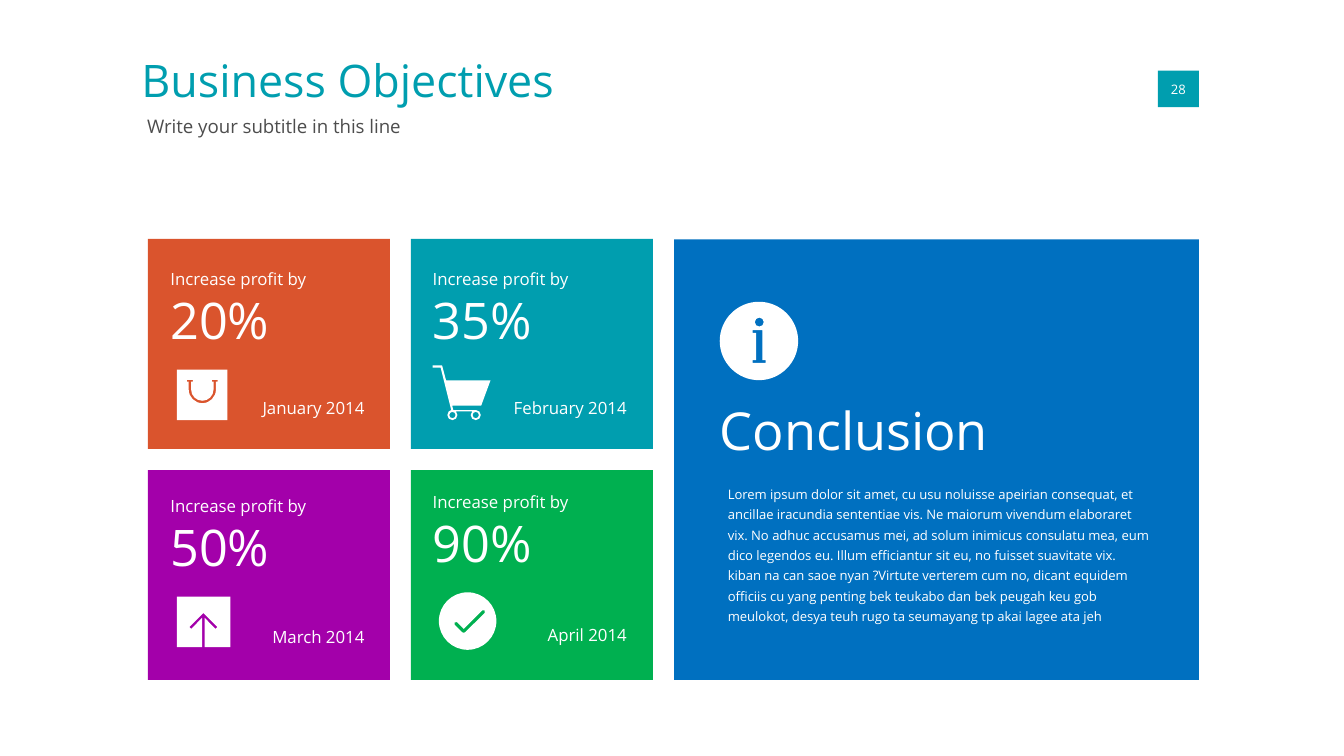
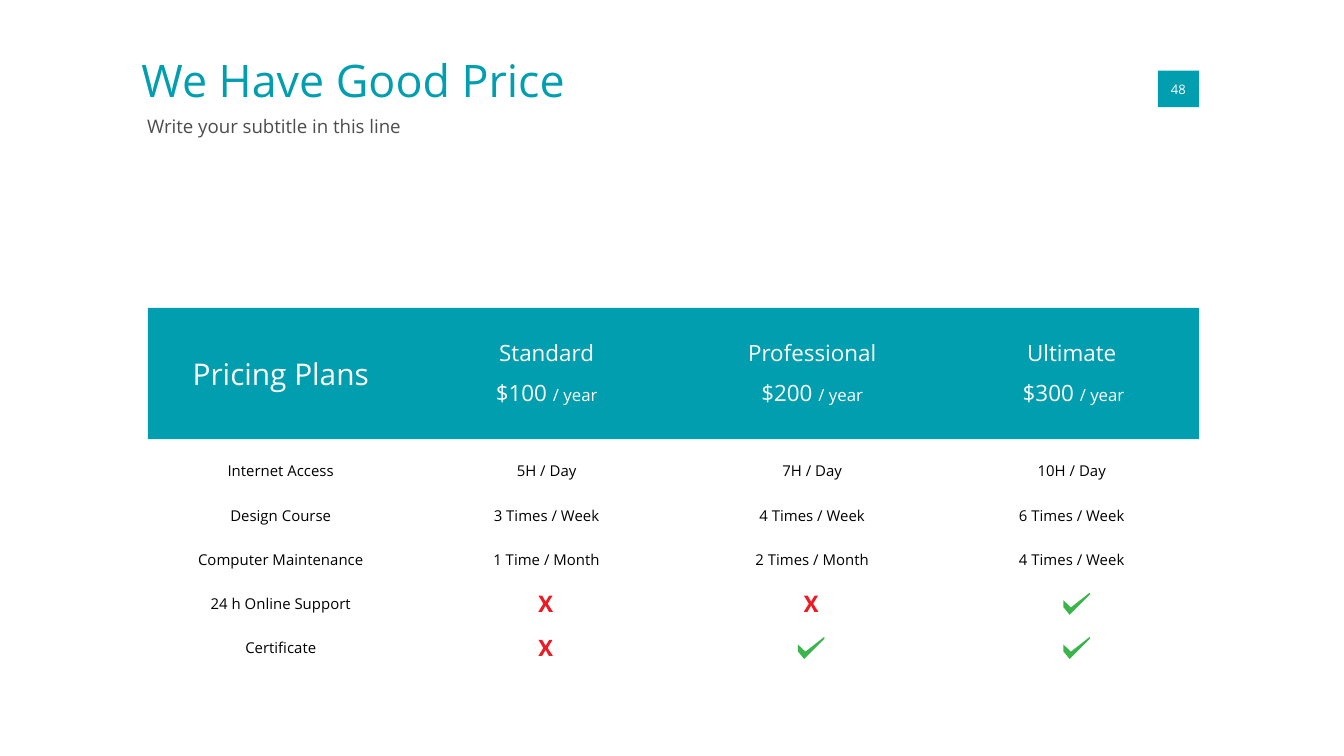
import itertools

import lxml.etree
import pptx
import pptx.dml.color
import pptx.enum.shapes
import pptx.enum.text
import pptx.oxml.ns
import pptx.util

Pt = pptx.util.Pt
qn = pptx.oxml.ns.qn
rgb = pptx.dml.color.RGBColor.from_string
LEFT, CENTER, RIGHT = (pptx.enum.text.PP_ALIGN.LEFT, pptx.enum.text.PP_ALIGN.CENTER,
                       pptx.enum.text.PP_ALIGN.RIGHT)
FONT = "Open Sans"
TEAL, WHITE, GREY, BLACK = "009EAF", "FFFFFF", "4D4D4D", "000000"
ORANGE, PURPLE, GREEN, BLUE = "DA542D", "A300AA", "00B050", "0070C0"
TICK_GREEN, CROSS_RED = "39B54A", "ED1C24"


def add_filled(slide, outline, color):
    """Fill a rectangle (left, top, width, height) or a list of contours.

    A contour step of two numbers is a corner; one of six is a Bézier curve.
    """
    if isinstance(outline, tuple):
        shape = slide.shapes.add_shape(pptx.enum.shapes.MSO_SHAPE.RECTANGLE,
                                       *[Pt(length) for length in outline])
    else:
        x, y = outline[0][0][-2:]
        builder = slide.shapes.build_freeform(Pt(x), Pt(y))
        for i, contour in enumerate(outline):
            ends = [(Pt(step[-2]), Pt(step[-1])) for step in contour]
            if i:
                builder.move_to(*ends[0])
            builder.add_line_segments(ends[1:], close=True)
        shape = builder.convert_to_shape()
        steps = [step for contour in outline for step in contour[1:]]
        for segment, step in zip(list(shape._element.iter(qn("a:lnTo"))), steps):
            if len(step) == 6:
                segment.tag = qn("a:cubicBezTo")
                for i in (0, 1):
                    control = lxml.etree.Element(qn("a:pt"))
                    control.set("x", str(Pt(step[2 * i]) - shape.left))
                    control.set("y", str(Pt(step[2 * i + 1]) - shape.top))
                    segment.insert(i, control)
    shape.fill.solid()
    shape.fill.fore_color.rgb = rgb(color)
    shape.line.fill.background()
    shape.shadow.inherit = False


def add_text(slide, box, lines, color, align=LEFT, middle=False, inset=0, wrap=True):
    """Write (text, size) lines, one paragraph each, and return the text frame."""
    frame = slide.shapes.add_textbox(*[Pt(length) for length in box]).text_frame
    frame.word_wrap = wrap
    frame.margin_left = frame.margin_right = Pt(inset)
    frame.margin_top = frame.margin_bottom = Pt(inset)
    if middle:
        frame.vertical_anchor = pptx.enum.text.MSO_ANCHOR.MIDDLE
    for i, (text, size) in enumerate(lines):
        paragraph = frame.add_paragraph() if i else frame.paragraphs[0]
        paragraph.alignment = align
        paragraph.font.name = FONT
        paragraph.font.size = Pt(size)
        paragraph.font.color.rgb = rgb(color)
        paragraph.add_run().text = text
    return frame


prs = pptx.Presentation()
prs.slide_width, prs.slide_height = Pt(720), Pt(405)

# Heading and page number of both slides
slides = []
for title, number in [("Business Objectives", "28"), ("We Have Good Price", "48")]:
    slide = prs.slides.add_slide(prs.slide_layouts[6])
    add_filled(slide, (620.3, 37.8, 22, 19.6), TEAL)
    add_text(slide, (627.3, 43.5, 8, 8.6), [(number, 7)], WHITE, CENTER,
             middle=True, wrap=False)
    add_text(slide, (75.8, 28.1, 342.7, 35.3), [(title, 24)], TEAL)
    add_text(slide, (78.8, 61.6, 497.5, 16.6),
             [("Write your subtitle in this line", 10)], GREY)
    slides.append(slide)
objectives, pricing = slides

# Rings of four curves from the right end; a negative radius flips the direction
k = 0.55
unit_circle = [(1, 0), (1, k, k, 1, 0, 1), (-k, 1, -1, k, -1, 0),
               (-1, -k, -k, -1, 0, -1), (k, -1, 1, -k, 1, 0)]
rings = {}
for name, center, radii in [
    ("strap outside", (108.4, 208.7), (7.3, 7.3)),
    ("strap inside", (108.4, 208.7), (-6, 6)),
    ("left tyre", (242.4, 222.4), (2.7, -2.7)),
    ("left hub", (242.4, 222.4), (1.7, 1.7)),
    ("right tyre", (254.9, 222.4), (2.7, -2.7)),
    ("right hub", (254.9, 222.4), (1.7, 1.7)),
    ("check disc", (250.5, 332.7), (15.4, 15.4)),
    ("info disc", (406.6, 182.7), (21, 21)),
    ("info dot", (406.8, 172.6), (2.4, 2.4)),
]:
    rings[name] = [tuple(c + r * v for c, r, v in
                         zip(itertools.cycle(center), itertools.cycle(radii), step))
                   for step in unit_circle]

bag = [
    [(94.8, 198), (121.8, 198), (121.8, 225), (94.8, 225)],
    [(116.6, 203.5), (116.6, 204.5), (115.7, 204.5), *rings["strap outside"][:3],
     (101.1, 204.5), (100.1, 204.5), (100.1, 203.5), (103.3, 203.5), (103.3, 204.5),
     (102.4, 204.5), *rings["strap inside"][:3],
     (114.4, 204.5), (113.5, 204.5), (113.5, 203.5)],
]
left_tyre, right_tyre = rings["left tyre"], rings["right tyre"]
cart = [
    [(262.8, 203.8), (239, 203.8), (236.9, 195.8), (231.8, 195.8), (231.8, 197),
     (236.1, 197), (241.8, 219.7), *left_tyre[2:],
     (244.3, 220.5), (253, 220.5), right_tyre[2][-2:], *right_tyre[3:], right_tyre[1],
     (242.9, 219.7), (242.3, 217.4), (257.8, 217.4)],
    rings["left hub"],
    rings["right hub"],
]
arrow = [[
    (109.7, 346.6), (109.7, 331), (115.5, 336.9), (116.5, 335.9), (109, 328.4),
    (101.5, 335.9), (102.5, 336.9), (108.3, 331), (108.3, 346.6),
    (94.8, 346.6), (94.8, 319.6), (123.5, 319.6), (123.5, 346.6),
]]
check = [
    rings["check disc"],
    [(259.7, 328.3), (249.2, 338.7), (248.8, 339.1, 248, 339.1, 247.6, 338.7),
     (243.5, 334.6), (242.9, 333.8, 243.8, 332.7, 244.8, 333.3), (248.4, 336.9),
     (258.3, 327), (259.2, 326.3, 260.4, 327.4, 259.7, 328.3)],
]
info = [
    rings["info disc"],
    rings["info dot"],
    [(410.2, 194.4), (403.2, 194.4), (403.2, 193), (405.1, 193), (405.1, 178.4),
     (403.2, 178.4), (403.2, 176.9), (408.5, 176.9), (408.5, 193), (410.2, 193)],
]

# Objective cards, two by two
cards = [  # colour, profit, month, icon, top of profit and of month in the card
    (ORANGE, "20%", "January 2014", bag, 16, 85),
    (TEAL, "35%", "February 2014", cart, 16, 85),
    (PURPLE, "50%", "March 2014", arrow, 14, 83.7),
    (GREEN, "90%", "April 2014", check, 11.7, 83),
]
for i, (color, profit, month, icon, profit_top, month_top) in enumerate(cards):
    column, row = i % 2, i // 2
    x, y = 79.3 + column * 140.9, 128 + row * 123.8
    add_filled(objectives, (x, y, 129.6, 112.5), color)
    add_text(objectives, (133.2 + column * 140.5, y + month_top, 62, 16.6),
             [(month, 9)], WHITE, RIGHT)
    add_text(objectives, (91.3 + column * 140.5, y + profit_top, 98.6, 42.5),
             [("Increase profit by", 9), (profit, 27)], WHITE)
    add_filled(objectives, icon, WHITE)

# Conclusion panel
add_filled(objectives, (361.1, 128.2, 281.2, 236.1), BLUE)
conclusion = add_text(objectives, (389.9, 258.1, 226.8, 82.8), [(
    "Lorem ipsum dolor sit amet, cu usu noluisse apeirian consequat, et ancillae "
    "iracundia sententiae vis. Ne maiorum vivendum elaboraret vix. No adhuc accusamus "
    "mei, ad solum inimicus consulatu mea, eum dico legendos eu. Illum efficiantur sit "
    "eu, no fuisset suavitate vix. kiban na can saoe nyan ?Virtute verterem cum no, "
    "dicant equidem officiis cu yang penting bek teukabo dan bek peugah keu gob "
    "meulokot, desya teuh rugo ta seumayang tp akai lagee ata jeh", 7)], WHITE)
conclusion.paragraphs[0].line_spacing = 1.3
add_text(objectives, (385.6, 213.1, 222.5, 41), [("Conclusion", 28)], WHITE)
add_filled(objectives, info, WHITE)

# Pricing plans
add_filled(pricing, (79.2, 165, 563.1, 70.3), TEAL)
add_text(pricing, (78.8, 165, 143.3, 70), [("Pricing Plans", 16)], WHITE, CENTER,
         middle=True, inset=3)
row_top, row_height = 240.5, 23.7
features = ["Internet Access", "Design Course", "Computer Maintenance",
            "24 h Online Support", "Certificate"]
for row, feature in enumerate(features):
    add_text(pricing, (89.6, row_top + row * row_height, 121.7, row_height),
             [(feature, 8)], BLACK, CENTER, middle=True, inset=3)

# Outlines of the marks around their centre
marks = {
    "✓": (TICK_GREEN, [(-7, 1.9), (-3.7, 5.9), (7.2, -5), (7.2, -6), (-3, 2),
                       (-7, -1.8)]),
    "X": (CROSS_RED, [(-3.8, -4.3), (-1.8, -4.3), (0, -1.1), (1.9, -4.3), (3.7, -4.3),
                      (1.1, 0), (3.9, 4.3), (1.8, 4.3), (0, 1), (-1.9, 4.3),
                      (-3.9, 4.3), (-1.2, 0)]),
}
plans = [  # name, price, left, width, left of price, offers by feature
    ("Standard", "$100 ", 221.2, 143.3, 259.8,
     ["5H / Day", "3 Times / Week", "1 Time / Month", "X", "X"]),
    ("Professional", "$200 ", 363.5, 143.3, 402,
     ["7H / Day", "4 Times / Week", "2 Times / Month", "X", "✓"]),
    ("Ultimate", "$300 ", 505.8, 136.8, 542,
     ["10H / Day", "6 Times / Week", "4 Times / Week", "✓", "✓"]),
]
for column, (name, price, left, width, price_left, offers) in enumerate(plans):
    add_text(pricing, (left, 179.9, width, 18), [(name, 12)], WHITE, CENTER,
             middle=True, inset=3)
    amount = add_text(pricing, (price_left, 201.2, 66.2, 18), [(price, 12)],
                      WHITE, CENTER, middle=True, inset=3)
    period = amount.paragraphs[0].add_run()
    period.text = "/ year"
    period.font.size = Pt(9)
    for row, offer in enumerate(offers):
        middle_y = row_top + (row + 0.5) * row_height
        if offer in marks:
            color, points = marks[offer]
            middle_x = 292.3 + column * 142.2
            add_filled(pricing, [[(middle_x + x, middle_y + y) for x, y in points]], color)
        else:
            add_text(pricing, (left, middle_y - 6.1, width, 12.2), [(offer, 8)], BLACK,
                     CENTER, middle=True, inset=3)

prs.save("out.pptx")
